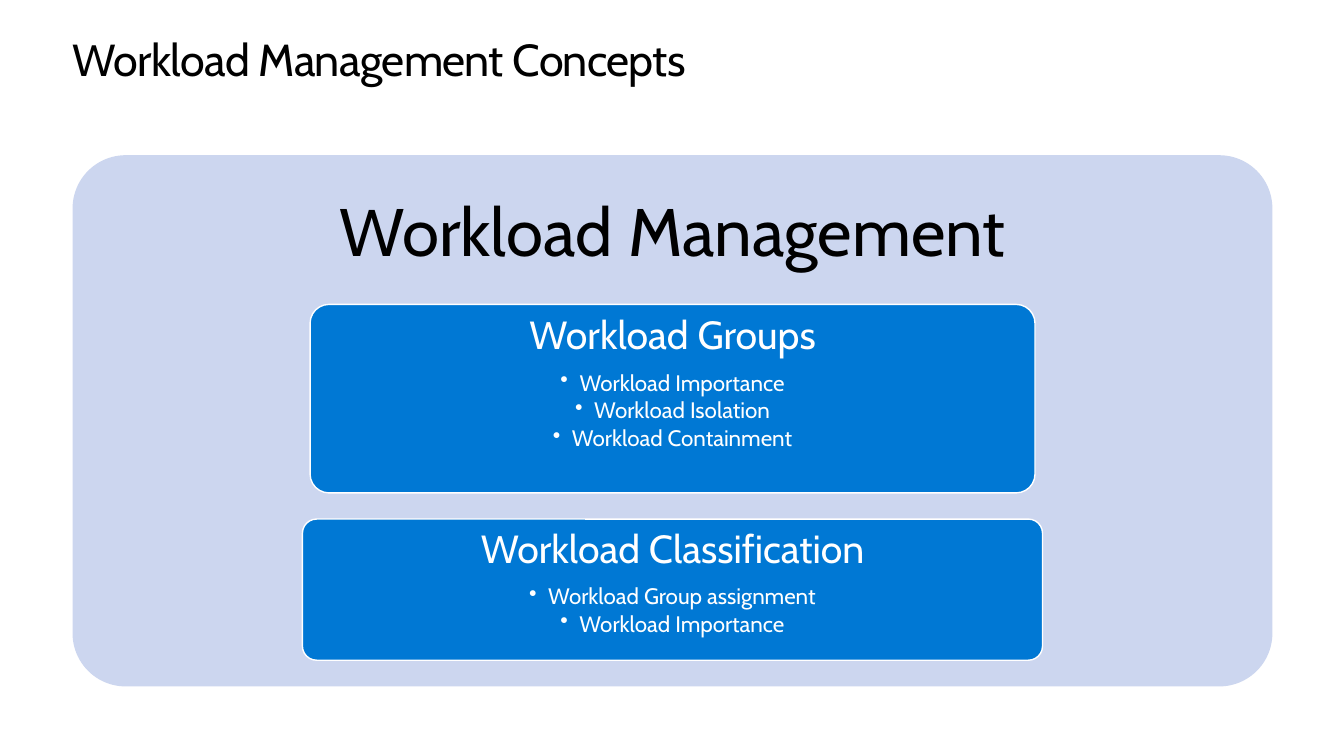
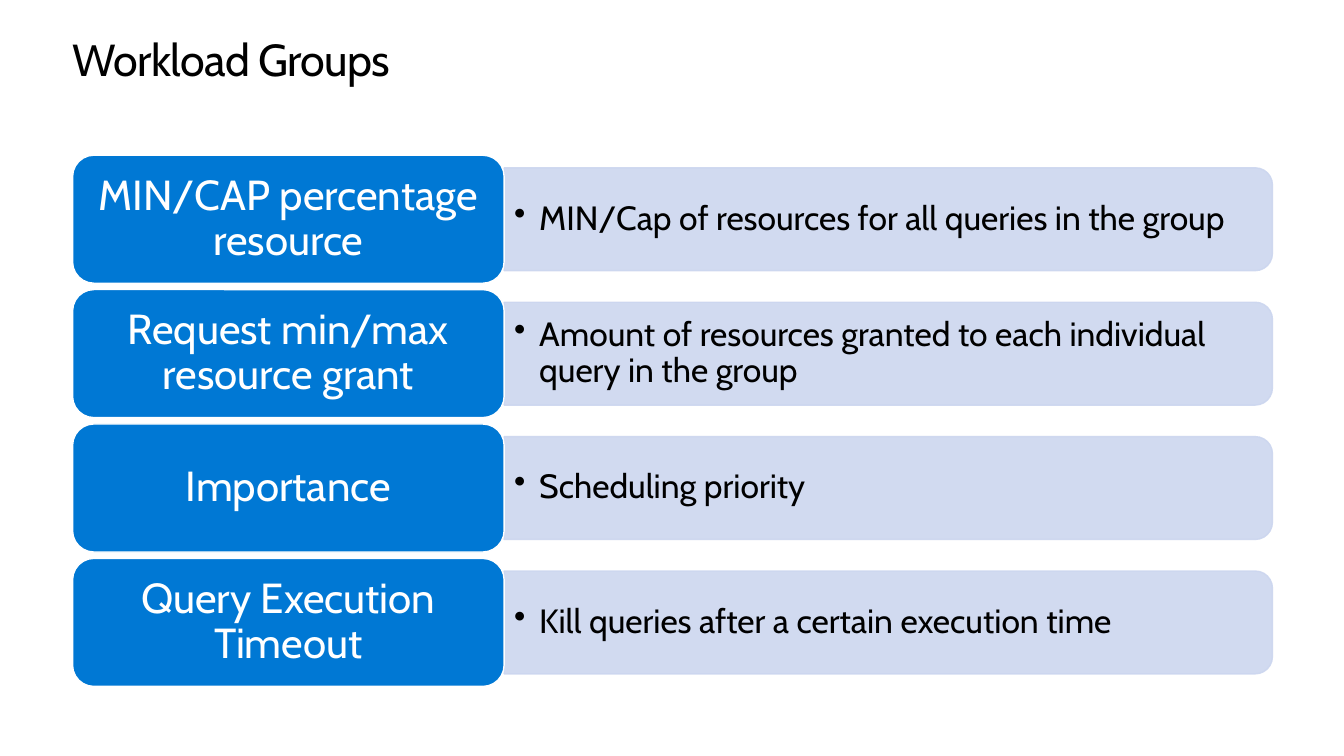
from lxml.etree import SubElement
from pptx import Presentation
from pptx.dml.color import RGBColor
from pptx.enum.shapes import MSO_SHAPE as Preset
from pptx.enum.text import MSO_ANCHOR as Anchor, PP_ALIGN as Align
from pptx.oxml.ns import qn
from pptx.util import Inches, Pt

COLORS = {"white": "FFFFFF", "black": "000000", "blue": "0078D4", "pale": "CCD6EF"}
FONT = "Cabin"
LEFT, TOP, WIDTH, HEIGHT = 0.72, 1.54, 11.9, 5.27


class SlideBuilder:
    """Holds the deck style and the current page, with a method per element."""

    def __init__(self):
        self.deck = Presentation()
        self.deck.slide_width = Inches(13.33)
        self.deck.slide_height = Inches(7.5)
        self.page = None

    def color(self, name):
        return RGBColor.from_string(COLORS[name])

    def new_page(self, title):
        self.page = self.deck.slides.add_slide(self.deck.slide_layouts[6])
        box = self.text_box(LEFT, 0.35, WIDTH, 0.5)
        self.set_frame(box, (0, 0, 0, 0), Anchor.TOP)
        para = box.text_frame.paragraphs[0]
        self.set_text(para, title, 32, "black")
        para.line_spacing = Pt(36.2)
        para.runs[0].font._element.set("spc", "-50")

    def text_box(self, left, top, width, height):
        return self.page.shapes.add_textbox(
            Inches(left), Inches(top), Inches(width), Inches(height))

    def shape(self, preset, left, top, width, height, fill, line=None, corner=None):
        shape = self.page.shapes.add_shape(
            preset, Inches(left), Inches(top), Inches(width), Inches(height))
        shape.shadow.inherit = False
        shape.fill.solid()
        shape.fill.fore_color.rgb = self.color(fill)
        if line:
            shape.line.color.rgb = self.color(line)
            shape.line.width = Pt(1)
        else:
            shape.line.fill.background()
        if corner:
            shape.adjustments[0] = corner
        return shape

    def set_frame(self, shape, insets, anchor):
        frame = shape.text_frame
        frame.word_wrap = True
        frame.vertical_anchor = anchor
        frame.margin_left, frame.margin_top, frame.margin_right, frame.margin_bottom = (
            Inches(inset) for inset in insets)

    def set_text(self, para, text, size, color, align=Align.LEFT, after=0.35):
        para.text = text
        para.alignment = align
        para.line_spacing = 0.9
        para.space_after = Pt(size * after)
        for span in para.runs:
            span.font.size = Pt(size)
            span.font.name = FONT
            span.font.color.rgb = self.color(color)

    def set_bullet(self, para, text, size, color, indent, align=Align.LEFT):
        self.set_text(para, text, size, color, align, 0.15)
        para.level = 1
        props = para._p.get_or_add_pPr()
        props.set("marL", str(Inches(indent)))
        props.set("indent", str(-Inches(indent)))
        SubElement(props, qn("a:buChar")).set("char", "•")

    def panel(self, heading):
        panel = self.shape(Preset.ROUNDED_RECTANGLE, LEFT, TOP, WIDTH, HEIGHT,
                           "pale", corner=0.1)
        self.set_frame(panel, (0.2, 0, 0.2, 3.69), Anchor.MIDDLE)
        self.set_text(panel.text_frame.paragraphs[0], heading, 48, "black", Align.CENTER)

    def card(self, top, width, height, heading, bullets):
        left = LEFT + (WIDTH - width) / 2
        card = self.shape(Preset.ROUNDED_RECTANGLE, left, top, width, height,
                          "blue", "white", 0.1)
        self.set_frame(card, (0.08, 0.06, 0.08, 0.06), Anchor.TOP)
        frame = card.text_frame
        self.set_text(frame.paragraphs[0], heading, 28, "white", Align.CENTER)
        for bullet in bullets:
            self.set_bullet(frame.add_paragraph(), bullet, 16, "white", 0.19,
                            Align.CENTER)

    def bar(self, left, top, width, height, text):
        bar = self.shape(Preset.ROUND_2_SAME_RECTANGLE,
                         left + (width - height) / 2, top + (height - width) / 2,
                         height, width, "pale", "pale")
        bar.rotation = 90
        for color in bar._element.spPr.iter(qn("a:srgbClr")):
            SubElement(color, qn("a:alpha")).set("val", "90000")
        box = self.text_box(left, top + 0.05, width - 0.05, height - 0.1)
        self.set_frame(box, (0.1, 0.05, 0.1, 0.05), Anchor.MIDDLE)
        self.set_bullet(box.text_frame.paragraphs[0], text, 24, "black", 0.25)

    def label(self, left, top, width, height, text):
        label = self.shape(Preset.ROUNDED_RECTANGLE, left, top, width, height,
                           "blue", "white")
        self.set_frame(label, (0.12, 0.06, 0.12, 0.06), Anchor.MIDDLE)
        self.set_text(label.text_frame.paragraphs[0], text, 30, "white", Align.CENTER)

    def rows(self, entries):
        label_width, label_height, bar_height = 4.28, 1.27, 1.02
        pitch = (HEIGHT - label_height) / (len(entries) - 1)
        for index, (name, detail) in enumerate(entries):
            top = TOP + index * pitch
            self.bar(LEFT + label_width, top + (label_height - bar_height) / 2,
                     WIDTH - label_width, bar_height, detail)
            self.label(LEFT, top, label_width, label_height, name)


def main():
    builder = SlideBuilder()

    builder.new_page("Workload Management Concepts")
    builder.panel("Workload Management")
    builder.card(3.02, 7.19, 1.87, "Workload Groups",
                 ["Workload Importance", "Workload Isolation", "Workload Containment"])
    builder.card(5.15, 7.34, 1.4, "Workload Classification",
                 ["Workload Group assignment", "Workload Importance"])

    builder.new_page("Workload Groups")
    builder.rows([
        ("MIN/CAP percentage resource",
         "MIN/Cap of resources for all queries in the group"),
        ("Request min/max resource grant",
         "Amount of resources granted to each individual query in the group"),
        ("Importance", "Scheduling priority"),
        ("Query Execution Timeout", "Kill queries after a certain execution time"),
    ])

    builder.deck.save("out.pptx")


if __name__ == "__main__":
    main()
